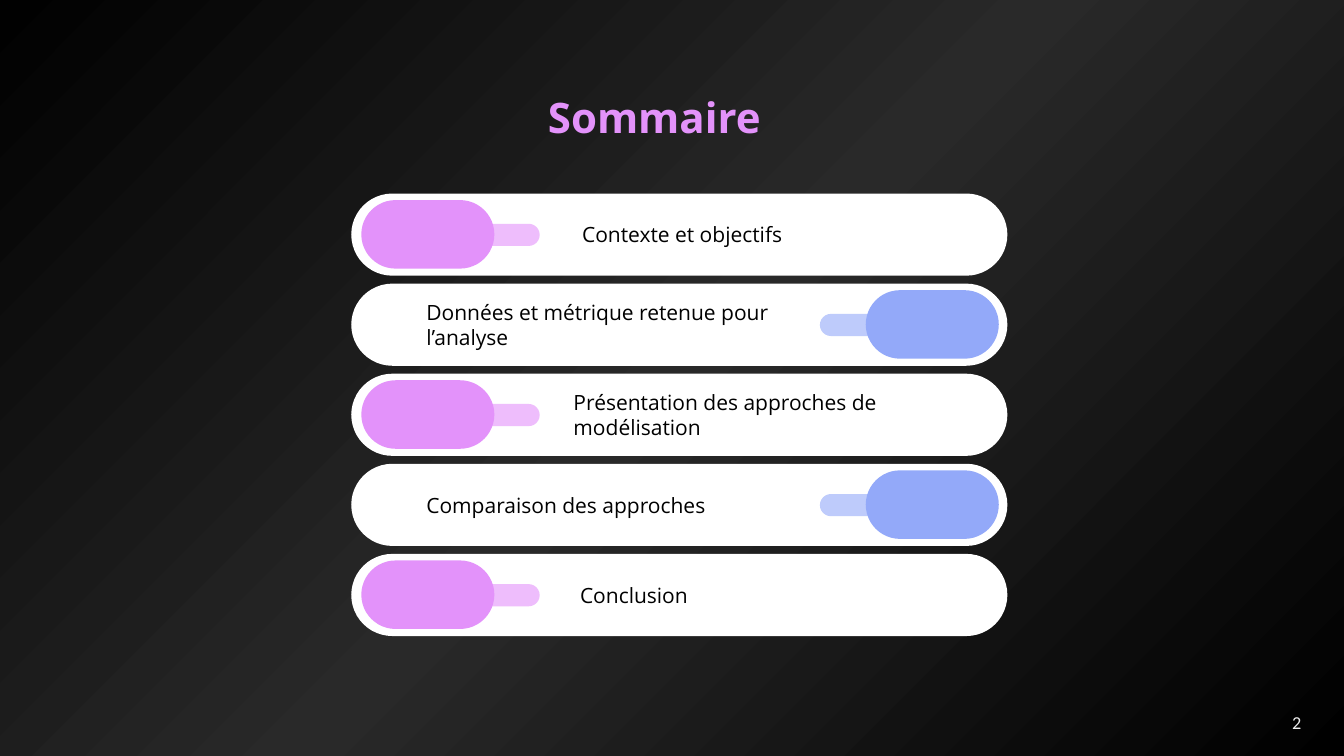
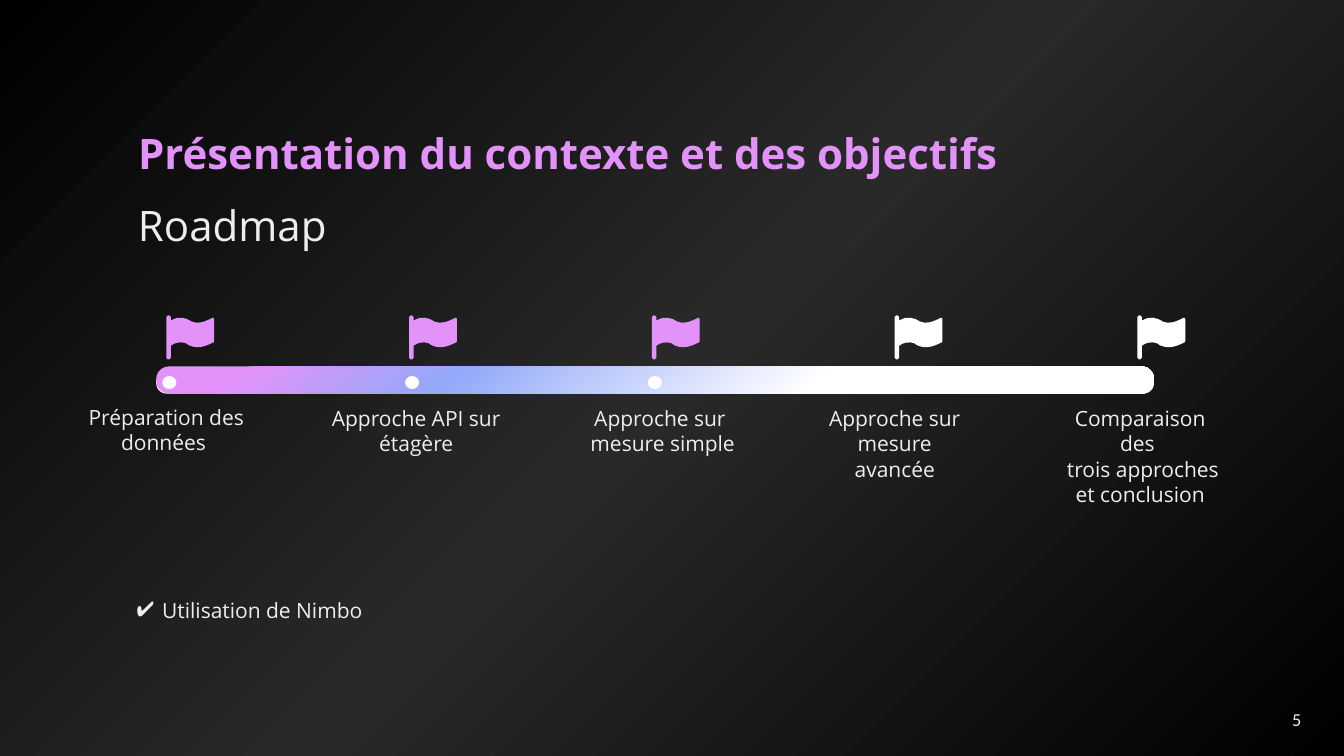
from lxml import etree
from pptx import Presentation
from pptx.dml.color import RGBColor
from pptx.enum.shapes import MSO_SHAPE
from pptx.enum.text import MSO_ANCHOR, MSO_AUTO_SIZE, PP_ALIGN
from pptx.oxml.ns import qn
from pptx.util import Inches, Pt

PILL, DOT = MSO_SHAPE.ROUNDED_RECTANGLE, MSO_SHAPE.OVAL
LEFT, CENTER = PP_ALIGN.LEFT, PP_ALIGN.CENTER
TOP, MIDDLE = MSO_ANCHOR.TOP, MSO_ANCHOR.MIDDLE
GROW = MSO_AUTO_SIZE.SHAPE_TO_FIT_TEXT

BLACK = RGBColor(0x00, 0x00, 0x00)
CHARCOAL = RGBColor(0x29, 0x29, 0x29)
NEAR_BLACK = RGBColor(0x01, 0x01, 0x01)
WHITE = RGBColor(0xFF, 0xFF, 0xFF)
PALE = RGBColor(0xEE, 0xEE, 0xEE)
PINK = RGBColor(0xE3, 0x92, 0xFA)
BLUE = RGBColor(0x93, 0xA9, 0xF9)

BACKGROUND_STOPS = [(0, BLACK), (50, CHARCOAL), (100, NEAR_BLACK)]
TIMELINE_STOPS = [(0, PINK), (9, PINK), (30, BLUE), (66, WHITE), (100, WHITE)]

# Flag outline in hundredths of an inch: one point is a line, three are a Bézier curve.
FLAG_START = (94, 5)
FLAG_SEGMENTS = [
    [(93, 5), (92, 5), (91, 5)],
    [(77, 12), (63, 18), (50, 12)],
    [(49, 11), (48, 10), (47, 10)],
    [(45, 9), (43, 7), (41, 7)],
    [(35, 4), (28, 4), (21, 5)],
    [(17, 6), (13, 8), (9, 10)],
    [(9, 3)],
    [(9, 2), (8, 0), (6, 0)],
    [(3, 0)],
    [(2, 0), (0, 2), (0, 3)],
    [(0, 84)],
    [(0, 86), (2, 87), (3, 87)],
    [(6, 87)],
    [(8, 87), (9, 86), (9, 84)],
    [(9, 60)],
    [(13, 57), (17, 55), (22, 54)],
    [(28, 53), (34, 53), (39, 55)],
    [(40, 56), (42, 57), (43, 58)],
    [(45, 58), (46, 59), (47, 60)],
    [(52, 62), (57, 63), (62, 63)],
    [(74, 63), (86, 57), (94, 53)],
    [(95, 53), (95, 52), (95, 51)],
    [(95, 8)],
    [(95, 7), (95, 6), (94, 5)],
]


def set_gradient(fill, owner, stops, angle):
    """Fill with a linear gradient; owner is the XML element that holds the fill."""
    fill.gradient()
    gradient = owner.find(".//" + qn("a:gradFill"))
    stop_list = gradient.find(qn("a:gsLst"))
    for old_stop in list(stop_list):
        stop_list.remove(old_stop)
    for percent, color in stops:
        stop = etree.SubElement(stop_list, qn("a:gs"), pos=str(percent * 1000))
        etree.SubElement(stop, qn("a:srgbClr"), val=str(color))
    gradient.find(qn("a:lin")).set("ang", str(angle * 60000))


def bend_lines(outline, segments):
    """Join each three lines that stand for one curve into a Bézier curve."""
    lines = iter(outline.element.findall(".//" + qn("a:lnTo")))
    for segment in segments:
        parts = [next(lines) for _ in segment]
        if len(parts) == 3:
            curve = etree.Element(qn("a:cubicBezTo"))
            parts[0].addprevious(curve)
            for part in parts:
                curve.append(part[0])
                part.getparent().remove(part)


class Deck:
    FONT = "Open Sans"
    BODY, HEADING, NUMBER = 30, 60, 26

    def __init__(self):
        self.prs = Presentation()
        self.prs.slide_width, self.prs.slide_height = Inches(26.67), Inches(15)
        self.slide = None

    def new_slide(self, number, number_top):
        self.slide = self.prs.slides.add_slide(self.prs.slide_layouts[6])
        set_gradient(self.slide.background.fill, self.slide.element, BACKGROUND_STOPS, 225)
        self.text(25.3, number_top, 0.87, 0.64, [number], size=self.NUMBER,
                  font="Calibri", align=CENTER, anchor=MIDDLE)

    def text(self, left, top, width, height, lines, size=BODY, color=PALE, font=FONT,
             bold=False, align=LEFT, anchor=TOP, inset=0.1):
        box = self.slide.shapes.add_textbox(
            Inches(left), Inches(top), Inches(width), Inches(height))
        frame = box.text_frame
        frame.word_wrap, frame.auto_size = True, GROW
        frame.vertical_anchor = anchor
        frame.margin_left = frame.margin_right = Inches(inset)
        frame.margin_top = frame.margin_bottom = Inches(inset)
        frame.text = "\n".join(lines)
        for paragraph in frame.paragraphs:
            paragraph.alignment = align
            paragraph.font.name, paragraph.font.size = font, Pt(size)
            paragraph.font.bold, paragraph.font.color.rgb = bold, color
        return frame

    def title(self, left, top, width, wording, align=LEFT):
        self.text(left, top, width, 1.21, [wording], size=self.HEADING, color=PINK,
                  bold=True, align=align)

    def bullet(self, left, top, width, height, wording, mark):
        frame = self.text(left, top, width, height, [wording])
        properties = frame.paragraphs[0]._p.get_or_add_pPr()
        properties.set("marL", str(Inches(0.5)))
        properties.set("indent", str(-Inches(0.5)))
        bullet_color = etree.Element(qn("a:buClr"))
        etree.SubElement(bullet_color, qn("a:srgbClr"), val=str(PALE))
        properties.insert(0, bullet_color)
        properties.insert(1, etree.Element(qn("a:buSzPct"), val="125000"))
        properties.insert(2, etree.Element(qn("a:buChar"), char=mark))

    def shape(self, kind, left, top, width, height, color, opacity=100, roundness=0.5):
        shape = self.slide.shapes.add_shape(
            kind, Inches(left), Inches(top), Inches(width), Inches(height))
        if kind == PILL:
            shape.adjustments[0] = roundness
        self.paint(shape, color)
        if opacity < 100:
            rgb = shape.element.spPr.find(".//" + qn("a:srgbClr"))
            etree.SubElement(rgb, qn("a:alpha"), val=str(opacity * 1000))
        return shape

    def flag(self, left, top, color):
        builder = self.slide.shapes.build_freeform(*FLAG_START, scale=Inches(0.01))
        builder.add_line_segments(
            [point for segment in FLAG_SEGMENTS for point in segment], close=True)
        outline = builder.convert_to_shape(Inches(left), Inches(top))
        bend_lines(outline, FLAG_SEGMENTS)
        self.paint(outline, color)

    @staticmethod
    def paint(shape, color):
        shape.shadow.inherit = False
        shape.line.fill.background()
        shape.fill.solid()
        shape.fill.fore_color.rgb = color


def build_summary(deck):
    deck.new_slide("2", 14.01)
    deck.title(8.4, 1.71, 9.17, "Sommaire", align=CENTER)
    chapters = [  # wording, text left, text width, text height
        ("Contexte et objectifs", 11.49, 8.13, 0.62),
        ("Données et métrique retenue pour l’analyse", 8.4, 7.35, 1.12),
        ("Présentation des approches de modélisation", 11.32, 7.35, 1.12),
        ("Comparaison des approches", 8.4, 7.35, 0.62),
        ("Conclusion", 11.45, 7.35, 0.62),
    ]
    first_row, last_row, row_height = 3.84, 10.99, 1.63
    row_pitch = (last_row - first_row) / (len(chapters) - 1)
    sides = [(PINK, 7.17, 8.81), (BLUE, 17.18, 16.27)]  # color, knob left, stem left
    for index, (wording, left, width, height) in enumerate(chapters):
        top = first_row + index * row_pitch
        color, knob_left, stem_left = sides[index % 2]
        deck.shape(PILL, 6.97, top, 13.02, row_height, WHITE)
        deck.shape(PILL, stem_left, top + 0.6, 1.9, 0.44, color, opacity=60)
        deck.shape(PILL, knob_left, top + 0.13, 2.64, 1.36, color)
        deck.text(left, top + (row_height - height) / 2, width, height, [wording],
                  color=BLACK, inset=0.06)


def build_roadmap(deck):
    deck.new_slide("5", 13.95)
    deck.title(2.64, 2.43, 21.99, "Présentation du contexte et des objectifs")
    deck.bullet(2.62, 11.76, 18.19, 0.77, "Utilisation de Nimbo", "✔")
    deck.text(2.64, 3.86, 10.74, 1.21, ["Roadmap"], size=deck.HEADING)

    deck.shape(PILL, 3.1, 7.37, 19.8, 0.44, WHITE, roundness=0.47)
    timeline = deck.shape(PILL, 3.1, 7.27, 19.8, 0.54, WHITE, roundness=0.47)
    set_gradient(timeline.fill, timeline.element, TIMELINE_STOPS, 51)

    milestones = [  # lines, label left, top, width, height, flag color
        (["Préparation des données "], 1.48, 7.93, 3.64, 1.21, PINK),
        (["Approche API sur étagère"], 6.31, 7.94, 3.9, 1.55, PINK),
        (["Approche sur ", "mesure simple"], 11.39, 7.94, 3.52, 1.55, PINK),
        (["Approche sur mesure avancée"], 16.08, 7.95, 3.35, 1.21, WHITE),
        (["Comparaison des ", " trois approches et conclusion"], 20.85, 7.95, 3.55, 2.05, WHITE),
    ]
    first_flag, last_flag = 3.3, 22.57
    flag_pitch = (last_flag - first_flag) / (len(milestones) - 1)
    for index, (lines, left, top, width, height, color) in enumerate(milestones):
        flag_left = first_flag + index * flag_pitch
        deck.flag(flag_left, 6.26, color)
        deck.shape(DOT, flag_left - 0.08, 7.46, 0.28, 0.26, WHITE)
        deck.text(left, top, width, height, lines, align=CENTER)


def main():
    deck = Deck()
    build_summary(deck)
    build_roadmap(deck)
    deck.prs.save("out.pptx")


if __name__ == "__main__":
    main()
